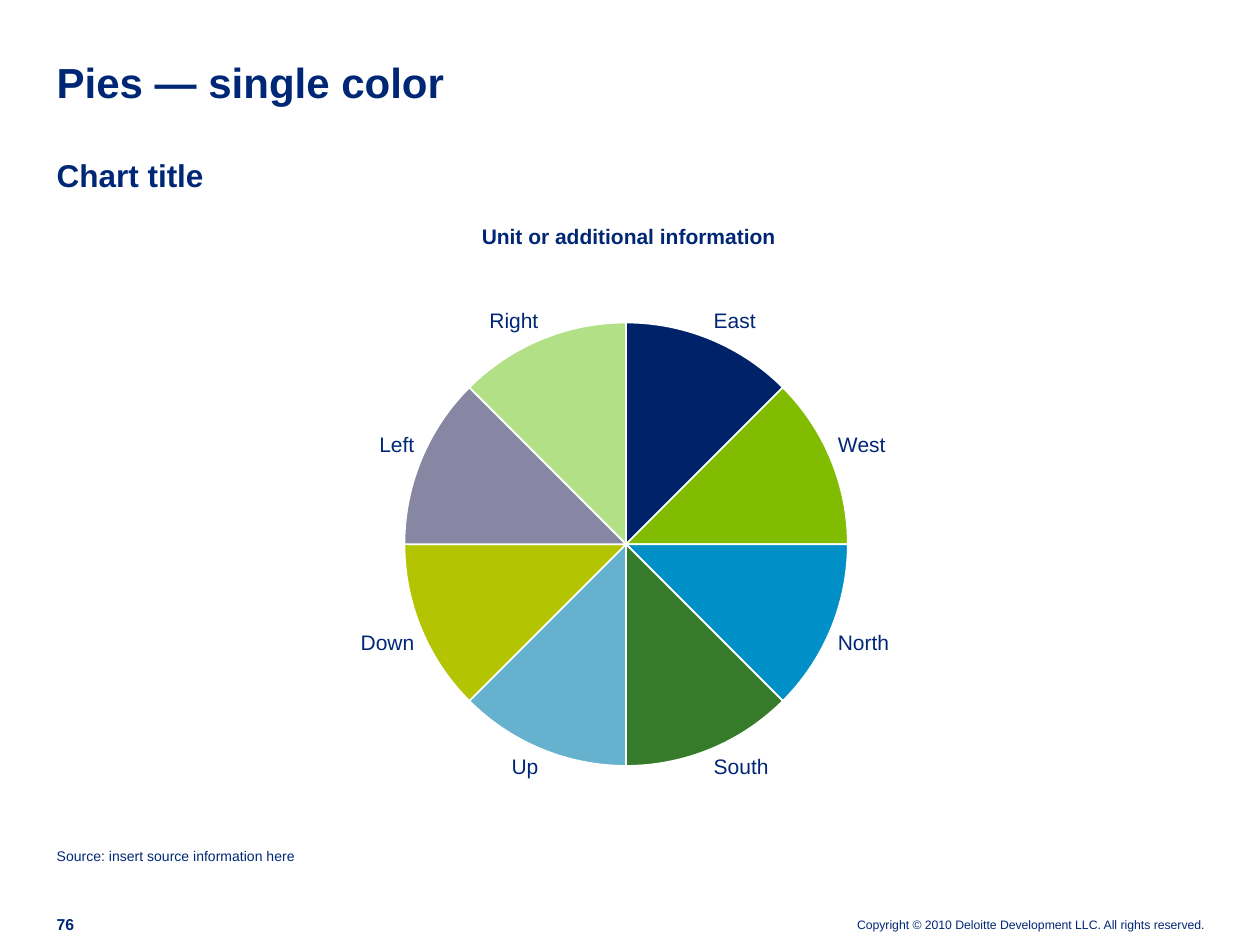
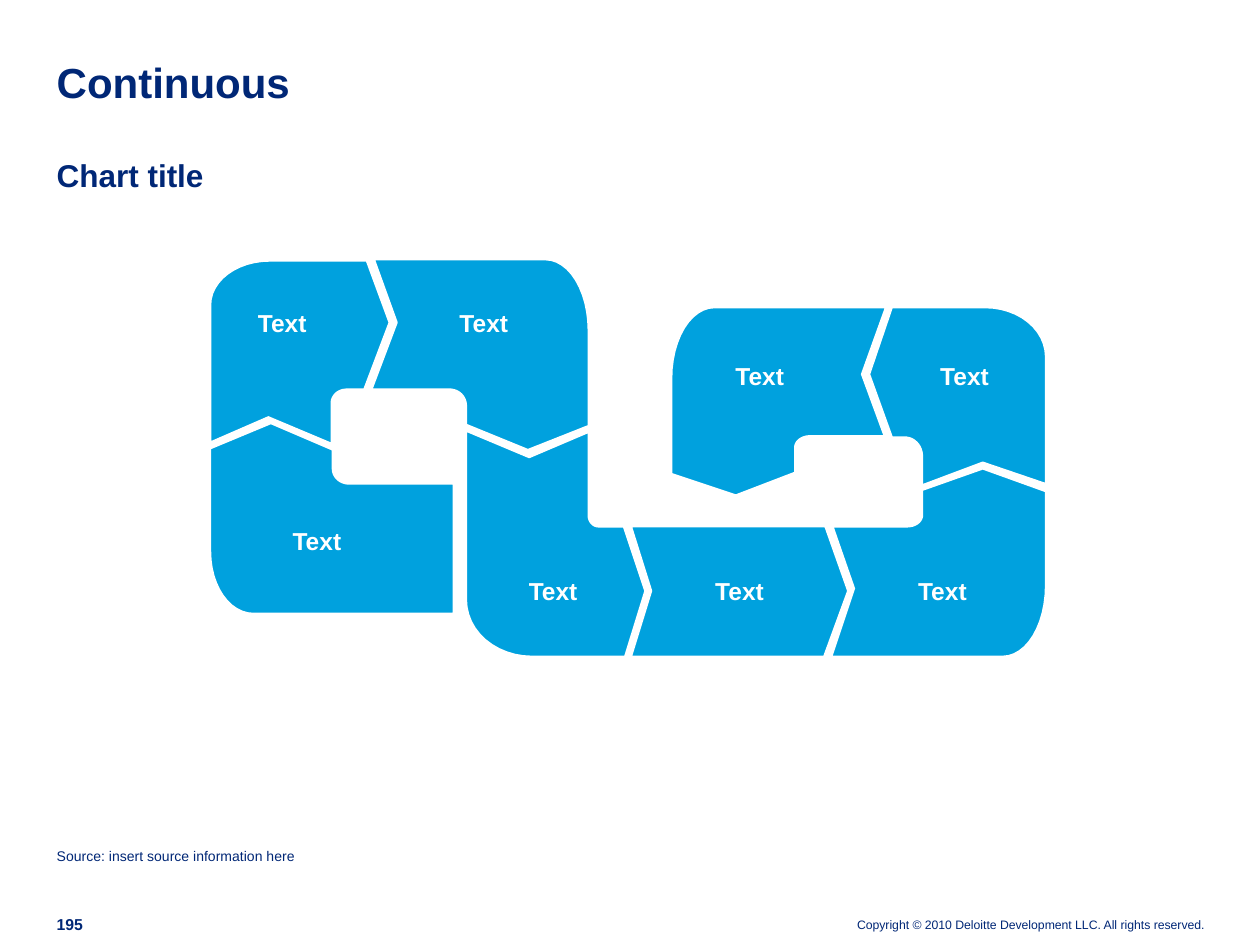
import math

import pptx
import pptx.chart.data
import pptx.dml.color
import pptx.enum.chart
import pptx.enum.text
import pptx.oxml
import pptx.util
from pptx.util import Inches

NAVY, BLUE, WHITE = "002776", "00A1DE", "FFFFFF"
PIE_COLORS = ["002269", "82BC00", "008FC6", "357B29", "65B1CE", "B3C502", "8787A4", "B2E086"]
DIRECTIONS = ["East", "West", "North", "South", "Up", "Down", "Left", "Right"]

ALIGN = pptx.enum.text.PP_ALIGN
ANCHOR = pptx.enum.text.MSO_ANCHOR

SEGMENTS = [
    [(6.73, 4.69), (6.55, 4.18), (5.01, 4.18), (5.17, 4.69), (5.01, 5.21), (6.54, 5.21)],
    [(4.67, 3.43), (4.2, 3.63), (3.7, 3.42), (3.7, 5.21, 0.52, 0.45),
     (4.96, 5.21), (5.12, 4.69), (4.95, 4.18), (4.67, 4.18, 0.08, 0.09)],
    [(6.61, 4.18), (6.78, 4.67), (6.6, 5.21), (8.3, 5.21, 0.34, 0.56),
     (8.3, 3.9), (7.8, 3.72), (7.32, 3.89), (7.32, 4.18, 0.12, 0.09)],
    [(7.02, 3.46), (6.84, 2.97), (7.03, 2.44), (5.33, 2.44, 0.34, 0.56),
     (5.33, 3.76), (5.84, 3.93), (6.31, 3.75), (6.31, 3.46, 0.12, 0.09)],
    [(7.32, 3.85), (7.8, 3.67), (8.3, 3.84), (8.3, 2.44, 0.48, 0.39),
     (7.08, 2.44), (6.9, 2.97), (7.08, 3.47), (7.32, 3.47, 0.14, 0.15)],
    [(3.7, 3.37), (4.19, 3.57), (4.67, 3.38), (4.67, 2.06, 0.34, 0.56),
     (2.97, 2.06), (3.15, 2.56), (2.95, 3.09), (3.7, 3.09, 0.13, 0.13)],
    [(2.64, 3.57), (2.15, 3.36), (1.67, 3.56), (1.67, 4.87, 0.34, 0.49),
     (3.6, 4.87), (3.6, 3.84), (2.64, 3.84, 0.13, 0.12)],
    [(2.89, 3.09), (3.09, 2.56), (2.91, 2.07), (1.67, 2.07, 0.47, 0.35),
     (1.67, 3.51), (2.13, 3.31), (2.63, 3.52), (2.63, 3.09, 0.12, 0.11)],
]
SEGMENT_LABELS = [
    (1.77, 4.19, 1.49), (1.77, 2.46, 0.94), (3.24, 2.46, 1.2), (3.79, 4.59, 1.2),
    (5.27, 4.59, 1.2), (6.88, 4.59, 1.2), (7.16, 2.88, 0.99), (5.43, 2.88, 1.2),
]


def color(value):
    return pptx.dml.color.RGBColor.from_string(value)


def round_corners(vertices, steps=12):
    points = []
    for i, (x, y, *radii) in enumerate(vertices):
        if not radii:
            points.append((x, y))
            continue
        rx, ry = radii
        before, after = vertices[i - 1], vertices[(i + 1) % len(vertices)]
        horizontal_entry = before[1] == y
        side, rise = (before, after) if horizontal_entry else (after, before)
        dx = math.copysign(rx, side[0] - x)
        dy = math.copysign(ry, rise[1] - y)
        for step in range(steps + 1):
            angle = math.pi / 2 * step / steps
            u, v = math.sin(angle), math.cos(angle)
            if not horizontal_entry:
                u, v = v, u
            points.append((x + dx * (1 - u), y + dy * (1 - v)))
    return points


class Deck:
    font = "Arial"

    def __init__(self):
        self.prs = pptx.Presentation()
        self.prs.slide_width, self.prs.slide_height = Inches(10), Inches(7.5)

    def slide(self, title, number):
        self.s = self.prs.slides.add_slide(self.prs.slide_layouts[6])
        self.text("Copyright © 2010 Deloitte Development LLC. All rights reserved.",
                  6.53, 7.28, 3.03, 0.12, 7, align=ALIGN.RIGHT, anchor=ANCHOR.BOTTOM)
        self.text(number, 0.45, 7.26, 0.29, 0.15, 9, bold=True, anchor=ANCHOR.BOTTOM)
        self.text(title, 0.45, 0.49, 9.11, 0.36, 24, bold=True, anchor=ANCHOR.BOTTOM,
                  spacing=pptx.util.Pt(26))
        self.text("Chart title", 0.45, 1.24, 2.14, 0.3, 18, bold=True)
        self.text("Source: insert source information here", 0.45, 6.73, 4.37, 0.14, 8)

    def text(self, text, x, y, w, h, size, bold=False, ink=NAVY,
             align=ALIGN.LEFT, anchor=ANCHOR.TOP, spacing=None):
        tf = self.s.shapes.add_textbox(Inches(x), Inches(y), Inches(w), Inches(h)).text_frame
        tf.word_wrap = True
        tf.vertical_anchor = anchor
        tf.margin_left = tf.margin_right = tf.margin_top = tf.margin_bottom = 0
        p = tf.paragraphs[0]
        p.text = text
        p.alignment = align
        p.line_spacing = spacing
        self.style(p.font, size, ink, bold)

    def style(self, font, size, ink, bold=False):
        font.name, font.size, font.bold = self.font, pptx.util.Pt(size), bold
        font.color.rgb = color(ink)

    def outline(self, shape_format, fill):
        shape_format.fill.solid()
        shape_format.fill.fore_color.rgb = color(fill)
        shape_format.line.color.rgb = color(WHITE)
        shape_format.line.width = pptx.util.Pt(1)

    def segment(self, vertices):
        start, *rest = [(Inches(x), Inches(y)) for x, y in round_corners(vertices)]
        builder = self.s.shapes.build_freeform(*start)
        builder.add_line_segments(rest, close=True)
        sp = builder.convert_to_shape()
        sp.shadow.inherit = False
        self.outline(sp, BLUE)

    def pie(self, categories, values, fills, x, y, w, h, plot):
        data = pptx.chart.data.CategoryChartData()
        data.categories = categories
        data.add_series("Series 1", values)
        chart = self.s.shapes.add_chart(
            pptx.enum.chart.XL_CHART_TYPE.PIE,
            Inches(x), Inches(y), Inches(w), Inches(h), data).chart
        chart.has_legend = chart.has_title = False
        self.style(chart.font, 12, NAVY)
        pie = chart.plots[0]
        pie.vary_by_categories = True
        for i, fill in enumerate(fills):
            self.outline(pie.series[0].points[i].format, fill)
        pie.has_data_labels = True
        labels = pie.data_labels
        labels.show_category_name = True
        labels.show_value = labels.show_percentage = False
        labels.position = pptx.enum.chart.XL_LABEL_POSITION.OUTSIDE_END
        self.style(labels.font, 12, NAVY)
        self.place_plot(chart, plot)

    def place_plot(self, chart, plot):
        area = chart._chartSpace.chart.plotArea
        for old in area.xpath("c:layout"):
            area.remove(old)
        settings = [("layoutTarget", "inner"), ("xMode", "edge"), ("yMode", "edge"),
                    *zip("xywh", plot)]
        items = "".join(f'<c:{tag} val="{value}"/>' for tag, value in settings)
        area.insert(0, pptx.oxml.parse_xml(
            '<c:layout xmlns:c="http://schemas.openxmlformats.org/drawingml/2006/chart">'
            f"<c:manualLayout>{items}</c:manualLayout></c:layout>"))


def main():
    deck = Deck()

    deck.slide("Pies — single color", "76")
    left, top, width, height = -0.14, 2.22, 9.16, 4.06
    pie_left, pie_top, diameter = 3.21, 2.56, 3.52
    plot = ((pie_left - left) / width, (pie_top - top) / height,
            diameter / width, diameter / height)
    deck.pie(DIRECTIONS, [12] * len(DIRECTIONS), PIE_COLORS, left, top, width, height, plot)
    deck.text("Unit or additional information", 3.75, 1.76, 2.48, 0.21, 12,
              bold=True, align=ALIGN.CENTER, spacing=1.06)

    deck.slide("Continuous", "195")
    for vertices in SEGMENTS:
        deck.segment(vertices)
    for x, y, w in SEGMENT_LABELS:
        deck.text("Text", x, y, w, 0.22, 14, bold=True, ink=WHITE,
                  align=ALIGN.CENTER, anchor=ANCHOR.MIDDLE, spacing=0.95)

    deck.prs.save("out.pptx")


if __name__ == "__main__":
    main()
